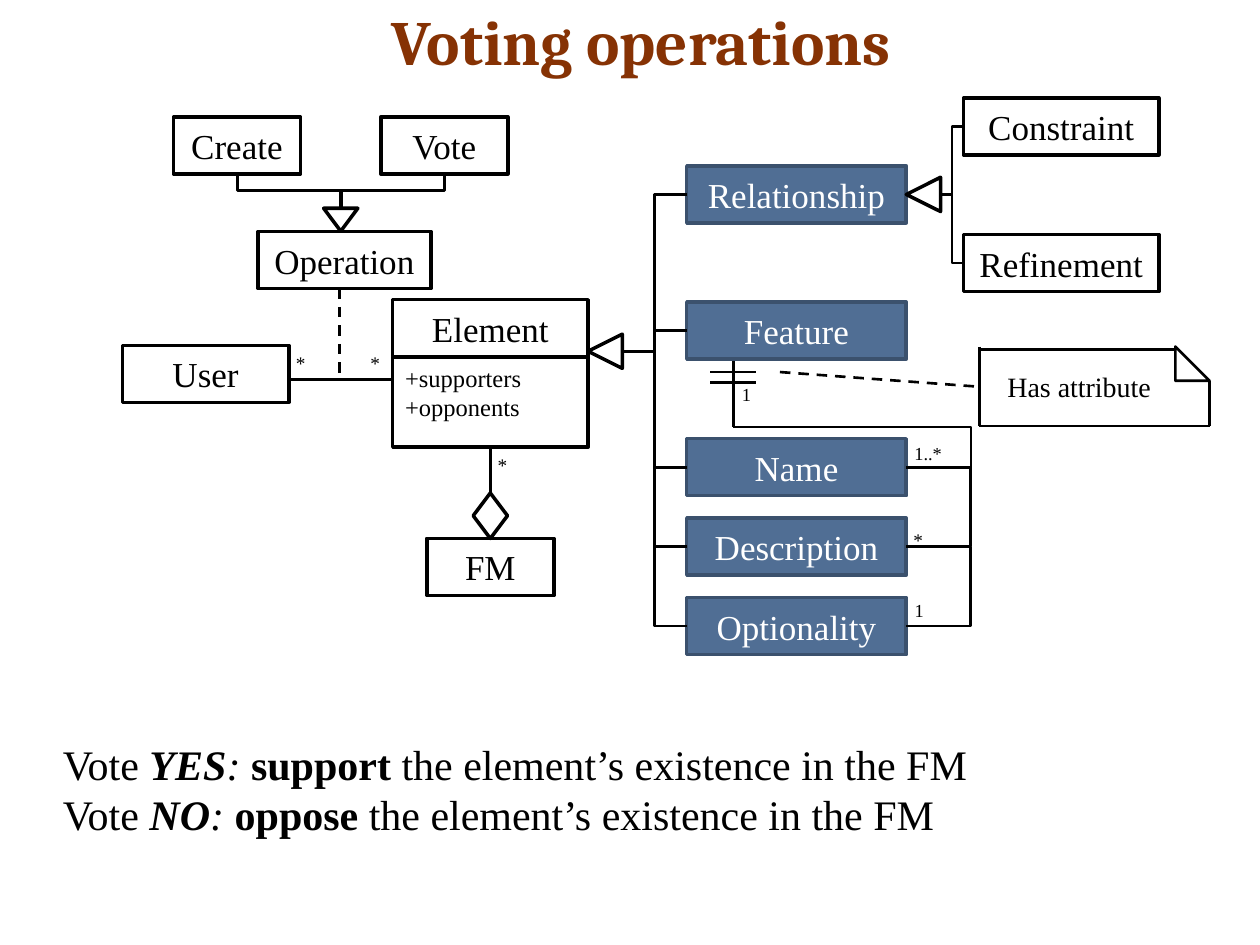
from lxml import etree
from pptx import Presentation
from pptx.dml.color import RGBColor
from pptx.enum import dml, shapes, text
from pptx.oxml import ns
from pptx.util import Pt

BLACK = RGBColor(0, 0, 0)
WHITE = RGBColor(255, 255, 255)
BLUE = RGBColor(0x50, 0x6E, 0x94)
NAVY = RGBColor(0x3B, 0x51, 0x6D)
BROWN = RGBColor(0x86, 0x32, 0x04)
SERIF = "Times New Roman"
SHAPE = shapes.MSO_SHAPE
STRAIGHT = shapes.MSO_CONNECTOR.STRAIGHT
ELBOW = shapes.MSO_CONNECTOR.ELBOW

prs = Presentation()
prs.slide_width, prs.slide_height = Pt(720), Pt(540)
s = prs.slides.add_slide(prs.slide_layouts[6])


def add_shape(kind, x, y, w, h, fill=WHITE, line=BLACK, width=2, rotation=0):
    sp = s.shapes.add_shape(kind, Pt(x), Pt(y), Pt(w), Pt(h))
    sp.shadow.inherit = False
    sp.rotation = rotation
    if fill is None:
        sp.fill.background()
    else:
        sp.fill.solid()
        sp.fill.fore_color.rgb = fill
    sp.line.color.rgb = line
    sp.line.width = Pt(width)
    return sp


def add_line(x1, y1, x2, y2, kind=STRAIGHT, dash=False, rotation=0):
    c = s.shapes.add_connector(kind, Pt(x1), Pt(y1), Pt(x2), Pt(y2))
    c.line.color.rgb = BLACK
    c.line.width = Pt(1.5)
    if dash:
        c.line.dash_style = dml.MSO_LINE.DASH
    sp_pr = c._element.spPr
    etree.SubElement(sp_pr, ns.qn("a:effectLst"))
    if rotation:
        sp_pr.find(ns.qn("a:xfrm")).set("rot", str(rotation * 60000))
    return c


attributes = add_shape(SHAPE.RECTANGLE, 224.4, 203.9, 111.6, 51.7)
tf = attributes.text_frame
tf.vertical_anchor = text.MSO_ANCHOR.TOP
tf.text = "+supporters\n+opponents"
for p in tf.paragraphs:
    p.alignment = text.PP_ALIGN.LEFT
    p.font.size, p.font.name, p.font.color.rgb = Pt(14), SERIF, BLACK

BOX_H = 32.6
boxes = {}
for name, x, y, w, fill, line, color in [
    ("Element", 224.4, 171.3, 111.6, WHITE, BLACK, BLACK),
    ("Refinement", 550.6, 134, 111.6, WHITE, BLACK, BLACK),
    ("Constraint", 550.6, 56, 111.6, WHITE, BLACK, BLACK),
    ("FM", 243.9, 307.7, 72.6, WHITE, BLACK, BLACK),
    ("User", 69.9, 197.4, 95.2, WHITE, BLACK, BLACK),
    ("Operation", 147.4, 132.3, 98.8, WHITE, BLACK, BLACK),
    ("Create", 99.1, 66.8, 72.6, WHITE, BLACK, BLACK),
    ("Vote", 217.6, 66.8, 72.6, WHITE, BLACK, BLACK),
    ("Relationship", 392.4, 94.8, 125.5, BLUE, NAVY, WHITE),
    ("Feature", 392.4, 172.7, 125.5, BLUE, NAVY, WHITE),
    ("Name", 392.4, 250.7, 125.5, BLUE, NAVY, WHITE),
    ("Description", 392.4, 296.1, 125.5, BLUE, NAVY, WHITE),
    ("Optionality", 392.4, 341.5, 125.5, BLUE, NAVY, WHITE),
]:
    sp = boxes[name] = add_shape(SHAPE.RECTANGLE, x, y, w, BOX_H, fill, line)
    tf = sp.text_frame
    tf.margin_left = tf.margin_right = Pt(3.6)
    tf.vertical_anchor = text.MSO_ANCHOR.MIDDLE
    p = tf.paragraphs[0]
    p.text = name
    p.alignment = text.PP_ALIGN.CENTER
    p.font.size, p.font.name, p.font.color.rgb = Pt(20), SERIF, color

add_shape(SHAPE.ISOSCELES_TRIANGLE, 336, 190.9, 19.6, 19.6, rotation=270)
add_shape(SHAPE.ISOSCELES_TRIANGLE, 517.9, 101.3, 19.6, 19.6, rotation=270)
add_shape(SHAPE.ISOSCELES_TRIANGLE, 184.9, 119, 19.6, 13.1, rotation=180)
diamond = add_shape(SHAPE.DIAMOND, 270.4, 281.7, 19.6, 26)
add_shape(SHAPE.RIGHT_TRIANGLE, 671.6, 198, 19.6, 19.6, None, width=1.5)

for x, y, names in [
    (355.6, 200.7, ["Relationship", "Feature", "Name", "Description", "Optionality"]),
    (537.5, 111.1, ["Constraint", "Refinement"]),
]:
    for name in names:
        sp = boxes[name]
        c = add_line(x, y, sp.left.pt, sp.top.pt + BOX_H / 2, ELBOW)
        c.end_connect(sp, 1)

c = add_line(280.2, 255.6, 280.2, 281.7)
c.begin_connect(attributes, 2)
c.end_connect(diamond, 0)

add_line(175.25, 79.25, 155.75, 138.75, ELBOW, rotation=270)
add_line(214.5, 79.25, 234, 138.75, ELBOW, rotation=90)

c = add_line(419, 244.1, 517.9, 267, ELBOW)
guides = c._element.spPr.find(ns.qn("a:prstGeom")).get_or_add_avLst()
etree.SubElement(guides, ns.qn("a:gd"), name="adj1", fmla="val 137300")
for y in (267, 312.4):
    c = add_line(513.4, y + 4.35, 558.8, y + 41.05, ELBOW, rotation=90)
    c._element.spPr.find(ns.qn("a:prstGeom")).set("prst", "bentConnector2")

for x1, y1, x2, y2, dash in [
    (406, 212.6, 432, 212.6, False),
    (406, 218.6, 432, 218.6, False),
    (419, 206.4, 419, 244.1, False),
    (671.6, 199.6, 559.6, 199.6, False),
    (559.6, 198, 559.6, 243.5, False),
    (691.2, 217.6, 691.2, 243.5, False),
    (559.6, 243.5, 691.2, 243.5, False),
    (224.4, 216.8, 165.1, 216.8, False),
    (194, 164.9, 194, 216.8, True),
    (445.7, 212.6, 559.6, 221, True),
]:
    add_line(x1, y1, x2, y2, dash=dash)

PLAIN, BOLD, ITALIC, BOTH = (False, False), (True, False), (False, True), (True, True)
REST = "the element’s existence in the FM"
votes = [
    [("Vote ", PLAIN), ("YES", BOTH), (": ", ITALIC), ("support ", BOLD), (REST, PLAIN)],
    [("Vote ", PLAIN), ("NO", BOTH), (": ", ITALIC), ("oppose", BOLD), (" " + REST, PLAIN)],
]
for x, y, w, h, size, font, color, wrap, lines in [
    (216.8, -2.2, 492.5, 50.4, 36, "Cambria", BROWN, True, [[("Voting operations", BOLD)]]),
    (28.8, 418.3, 666.7, 65.5, 24, SERIF, BLACK, True, votes),
    (568.6, 207.4, 98, 26.6, 16, SERIF, BLACK, False, [[("Has attribute", PLAIN)]]),
    (277.2, 255.6, 22.3, 20.6, 11, SERIF, BLACK, True, [[("*", PLAIN)]]),
    (514.8, 298.1, 20.2, 20.6, 11, SERIF, BLACK, False, [[("*", PLAIN)]]),
    (162, 197.3, 20.2, 20.6, 11, SERIF, BLACK, False, [[("*", PLAIN)]]),
    (204.5, 197.3, 20.2, 20.6, 11, SERIF, BLACK, False, [[("*", PLAIN)]]),
    (515.5, 339.1, 20.2, 20.2, 10.5, SERIF, BLACK, False, [[("1", PLAIN)]]),
    (416.9, 215.3, 20.2, 20.2, 10.5, SERIF, BLACK, False, [[("1", PLAIN)]]),
    (515.5, 249.1, 31, 20.6, 10.5, SERIF, BLACK, False, [[("1..*", PLAIN)]]),
]:
    tf = s.shapes.add_textbox(Pt(x), Pt(y), Pt(w), Pt(h)).text_frame
    tf.word_wrap = wrap
    if size == 36:
        tf.vertical_anchor = text.MSO_ANCHOR.BOTTOM
    for i, runs in enumerate(lines):
        p = tf.add_paragraph() if i else tf.paragraphs[0]
        p.font.size, p.font.name, p.font.color.rgb = Pt(size), font, color
        for words, (bold, italic) in runs:
            r = p.add_run()
            r.text = words
            r.font.bold, r.font.italic = bold, italic

prs.save("out.pptx")
